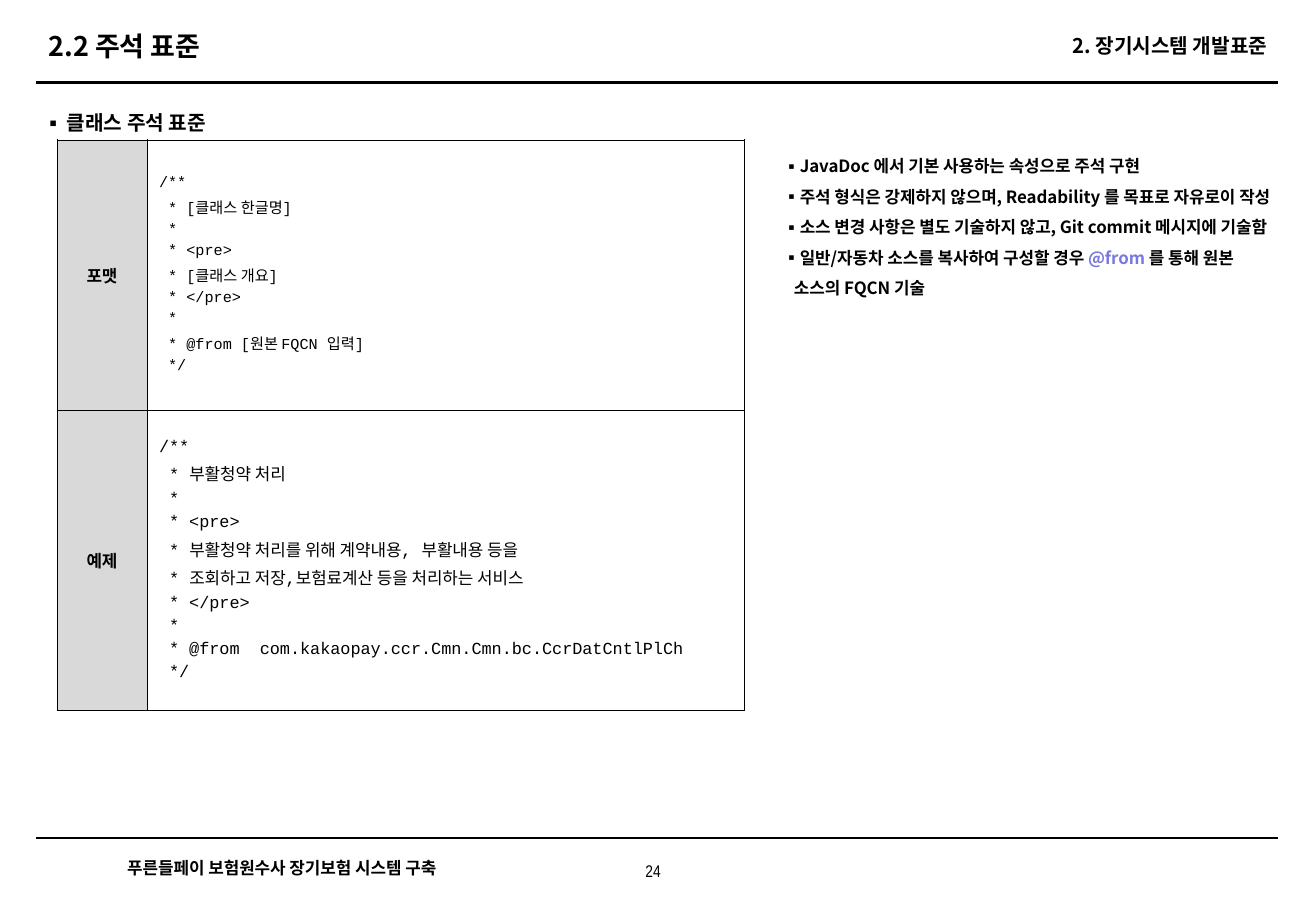
from lxml.etree import SubElement
from pptx import Presentation
from pptx.dml.color import RGBColor
from pptx.enum.shapes import MSO_CONNECTOR as Connector
from pptx.enum.text import MSO_ANCHOR as Anchor, MSO_AUTO_SIZE as AutoSize, PP_ALIGN as Align
from pptx.oxml.ns import qn
from pptx.util import Inches, Pt

BLACK = RGBColor(0x00, 0x00, 0x00)
WHITE = RGBColor(0xFF, 0xFF, 0xFF)
LABEL_GRAY = RGBColor(0xD9, 0xD9, 0xD9)
TAG_VIOLET = RGBColor(0x78, 0x78, 0xDE)
SANS = "Noto Sans CJK KR"
MONO = "Courier New"
NARROW = "Arial Narrow"

FORMAT_CODE = """/**
 * [클래스 한글명]
 *
 * <pre>
 * [클래스 개요]
 * </pre>
 *
 * @from [원본 FQCN 입력]
 */"""

EXAMPLE_CODE = """/**
 * 부활청약 처리
 *
 * <pre>
 * 부활청약 처리를 위해 계약내용, 부활내용 등을
 * 조회하고 저장,보험료계산 등을 처리하는 서비스
 * </pre>
 *
 * @from  com.kakaopay.ccr.Cmn.Cmn.bc.CcrDatCntlPlCh
 */"""

GUIDELINES = [
    [("JavaDoc 에서 기본 사용하는 속성으로 주석 구현", BLACK)],
    [("주석 형식은 강제하지 않으며, Readability 를 목표로 자유로이 작성", BLACK)],
    [("소스 변경 사항은 별도 기술하지 않고, Git commit 메시지에 기술함", BLACK)],
    [("일반/자동차 소스를 복사하여 구성할 경우 ", BLACK), ("@from ", TAG_VIOLET),
     ("를 통해 원본\n소스의 FQCN 기술", BLACK)],
]


class StandardSlide:
    def __init__(self, presentation):
        self.slide = presentation.slides.add_slide(presentation.slide_layouts[3])
        self.shapes = self.slide.shapes

    def add_run(self, paragraph, text, size, font=SANS, bold=True, color=BLACK):
        for number, line in enumerate(text.split("\n")):
            if number:
                paragraph.add_line_break()
            run = paragraph.add_run()
            run.text = line
            run.font.name = font
            run.font.size = Pt(size)
            run.font.bold = bold
            run.font.color.rgb = color
            SubElement(run.font._element, qn("a:ea"), typeface=SANS)

    def paragraphs(self, frame, count):
        return [frame.paragraphs[0]] + [frame.add_paragraph() for _ in range(count - 1)]

    def place(self, shape, left, top, width, height, anchor, wrap):
        shape.left, shape.top = Inches(left), Inches(top)
        shape.width, shape.height = Inches(width), Inches(height)
        frame = shape.text_frame
        frame.auto_size = AutoSize.NONE
        frame.word_wrap = wrap
        frame.vertical_anchor = anchor
        return frame

    def title(self, text, box, size):
        frame = self.place(self.shapes.title, *box, Anchor.MIDDLE, True)
        frame.paragraphs[0].alignment = Align.LEFT
        self.add_run(frame.paragraphs[0], text, size)

    def text(self, text, box, size, font=SANS, bold=True, align=Align.LEFT,
             anchor=Anchor.TOP, wrap=True):
        shape = self.shapes.add_textbox(0, 0, 0, 0)
        frame = self.place(shape, *box, anchor, wrap)
        frame.paragraphs[0].alignment = align
        self.add_run(frame.paragraphs[0], text, size, font, bold)

    def bullets(self, index, items, box, size, indent):
        frame = self.place(self.slide.placeholders[index], *box, Anchor.TOP, False)
        for paragraph, runs in zip(self.paragraphs(frame, len(items)), items):
            properties = paragraph._p.get_or_add_pPr()
            properties.set("marL", str(Inches(indent)))
            properties.set("indent", str(-Inches(indent)))
            bullet_color = SubElement(properties, qn("a:buClr"))
            SubElement(bullet_color, qn("a:srgbClr"), val=str(BLACK))
            SubElement(properties, qn("a:buFont"), typeface=SANS)
            SubElement(properties, qn("a:buChar"), char="▪")
            paragraph.line_spacing = 1.5
            paragraph.space_before = Pt(0)
            for text, color in runs:
                self.add_run(paragraph, text, size, color=color)

    def rule(self, top, weight):
        line = self.shapes.add_connector(
            Connector.STRAIGHT, Inches(0.3), Inches(top), Inches(10.53), Inches(top))
        line.line.color.rgb = BLACK
        line.line.width = Pt(weight)
        SubElement(line._element.spPr, qn("a:effectLst"))

    def cell(self, cell, text, size, fill, bold, align, gap):
        properties = cell._tc.get_or_add_tcPr()
        for side in ("lnL", "lnR", "lnT", "lnB"):
            border = SubElement(properties, qn(f"a:{side}"), w=str(Pt(0.23)))
            SubElement(SubElement(border, qn("a:solidFill")), qn("a:srgbClr"), val=str(BLACK))
        cell.fill.solid()
        cell.fill.fore_color.rgb = fill
        cell.vertical_anchor = Anchor.MIDDLE
        lines = text.split("\n")
        for number, paragraph in enumerate(self.paragraphs(cell.text_frame, len(lines))):
            paragraph.alignment = align
            if number:
                paragraph.space_before = Pt(gap)
            self.add_run(paragraph, lines[number], size, MONO, bold)

    def code_table(self, rows, box, widths, heights):
        frame = self.shapes.add_table(len(rows), len(widths), *map(Inches, box))
        table = frame.table
        table.first_row = table.horz_banding = False
        for column, width in zip(table.columns, widths):
            column.width = Inches(width)
        for number, (label, code, size, gap) in enumerate(rows):
            table.rows[number].height = Inches(heights[number])
            self.cell(table.cell(number, 0), label, 10, LABEL_GRAY, True, Align.CENTER, gap)
            self.cell(table.cell(number, 1), code, size, WHITE, False, Align.LEFT, gap)


def main():
    presentation = Presentation()
    presentation.slide_width = Inches(10.84)
    presentation.slide_height = Inches(7.5)

    page = StandardSlide(presentation)
    page.rule(0.68, 2)
    page.rule(6.9, 0.75)
    page.title("2.2 주석 표준", (0.3, 0.18, 5.28, 0.39), 16)
    page.text("2. 장기시스템 개발표준", (6.68, 0.18, 3.86, 0.39), 12,
              align=Align.RIGHT, anchor=Anchor.MIDDLE)
    page.bullets(1, [[("클래스 주석 표준", BLACK)]], (0.26, 0.76, 1.55, 0.7), 12, 0.19)
    page.code_table(
        [("포맷", FORMAT_CODE, 9, 2.2), ("예제", EXAMPLE_CODE, 10, 2.5)],
        (0.47, 1.15, 5.66, 4.7), (0.74, 4.92), (2.23, 2.47))
    page.bullets(2, GUIDELINES, (6.35, 1.15, 4.28, 1.35), 10, 0.09)
    page.text("푸른들페이 보험원수사 장기보험 시스템 구축", (0.95, 7.01, 2.77, 0.27), 10, wrap=False)
    page.text("24", (5.03, 7.04, 0.7, 0.27), 10, NARROW, False, Align.CENTER)

    presentation.save("out.pptx")


if __name__ == "__main__":
    main()
